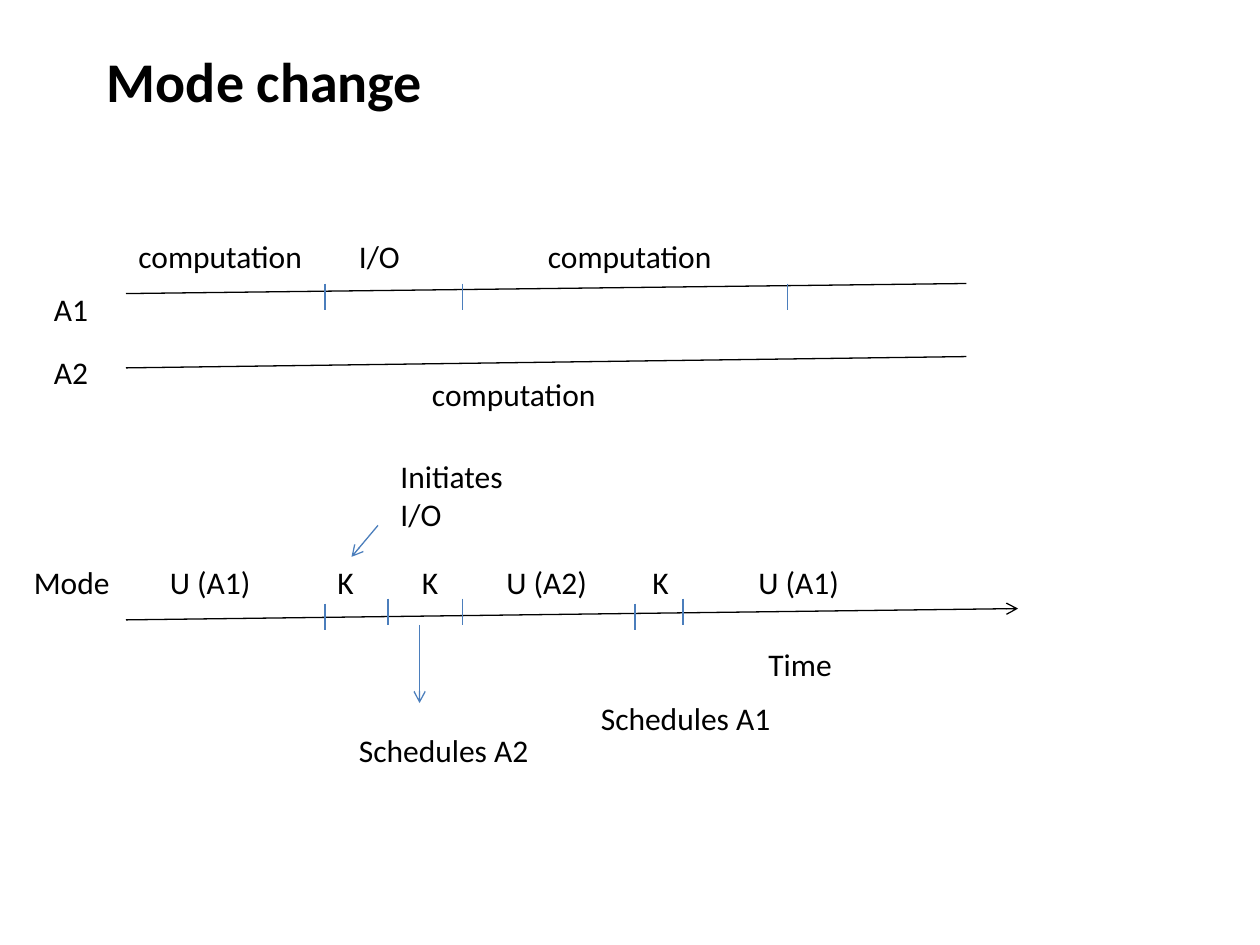
from lxml import etree
from pptx import Presentation
from pptx.dml.color import RGBColor
from pptx.enum.shapes import MSO_CONNECTOR
from pptx.enum.text import MSO_AUTO_SIZE
from pptx.oxml.ns import qn
from pptx.util import Inches, Pt

BLACK = RGBColor(0x00, 0x00, 0x00)
BLUE = RGBColor(0x4B, 0x7E, 0xBC)
STRAIGHT = MSO_CONNECTOR.STRAIGHT
GROW = MSO_AUTO_SIZE.SHAPE_TO_FIT_TEXT

TITLE = ("Mode change", 0.75, 0.38, 8.67, 0.59)
BODY = {"name": "Calibri", "size": Pt(18), "bold": False}
HEAD = {"name": "Calibri", "size": Pt(32), "bold": True}

ROWS = [
    (1.83, 0.4, [("computation", 1, 1.58), ("I/O", 2.75, 0.58),
                 ("computation", 4.25, 1.58)]),
    (2.25, 0.42, [("A1", 0.33, 0.67)]),
    (2.75, 0.42, [("A2", 0.33, 0.67)]),
    (2.93, 0.4, [("computation", 3.33, 1.58)]),
    (3.58, 0.71, [("Initiates I/O", 3.08, 1.25)]),
    (4.42, 0.4, [("Mode", 0.17, 0.83), ("U (A1)", 1.25, 1.08),
                 ("K", 2.58, 0.42), ("K", 3.25, 0.42),
                 ("U (A2)", 3.92, 1.08), ("K", 5.08, 0.42),
                 ("U (A1)", 5.92, 1.08)]),
    (5.07, 0.4, [("Time", 6, 0.92)]),
    (5.5, 0.4, [("Schedules A1", 4.67, 1.58)]),
    (5.75, 0.4, [("Schedules A2", 2.75, 1.58)]),
]

AXES = [
    (1, 2.33, 7.67, 2.25, False),
    (1, 2.92, 7.67, 2.83, False),
    (1, 4.92, 8.08, 4.83, True),
]
ARROWS = [(3, 4.17, 2.79, 4.42), (3.33, 4.96, 3.33, 5.58)]
TICKS = {
    2.25: [2.58, 3.67, 6.25],
    4.79: [2.58, 5.04],
    4.75: [3.08, 3.67, 5.42],
}
TICK = 0.21


def add_text(slide, text, x, y, w, h, style):
    box = slide.shapes.add_textbox(Inches(x), Inches(y), Inches(w), Inches(h))
    frame = box.text_frame
    frame.word_wrap = True
    frame.auto_size = GROW
    par = frame.paragraphs[0]
    run = par.add_run()
    run.text = text
    for key, value in style.items():
        setattr(run.font, key, value)
    run.font.color.rgb = BLACK
    return par


def add_line(slide, x1, y1, x2, y2, color, arrow=False):
    line = slide.shapes.add_connector(
        STRAIGHT, Inches(x1), Inches(y1), Inches(x2), Inches(y2))
    line.line.color.rgb = color
    line.line.width = Pt(0.75)
    if arrow:
        tail = etree.SubElement(line.line._get_or_add_ln(), qn("a:tailEnd"))
        tail.set("type", "arrow")
    etree.SubElement(line._element.spPr, qn("a:effectLst"))


def main():
    prs = Presentation()
    prs.slide_width, prs.slide_height = Inches(10), Inches(7.5)
    slide = prs.slides.add_slide(prs.slide_layouts[6])

    add_text(slide, *TITLE, HEAD).line_spacing = 0.9
    for *ends, arrow in AXES:
        add_line(slide, *ends, BLACK, arrow)
    for y, marks in TICKS.items():
        for x in marks:
            add_line(slide, x, y, x, y + TICK, BLUE)
    for ends in ARROWS:
        add_line(slide, *ends, BLUE, True)
    for y, h, items in ROWS:
        for text, x, w in items:
            add_text(slide, text, x, y, w, h, BODY)

    prs.save("out.pptx")


if __name__ == "__main__":
    main()
